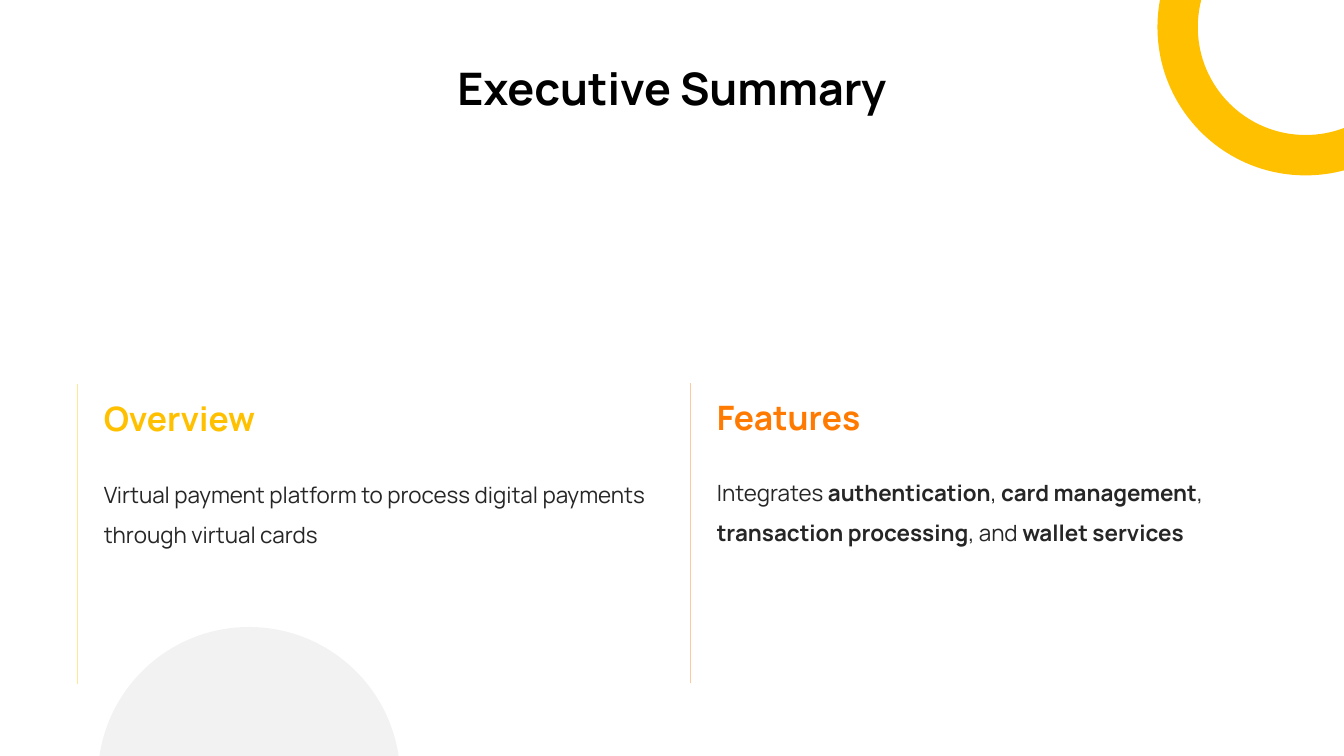
from itertools import pairwise
from math import acos, asin, cos, degrees, radians, sin, tan

from lxml.etree import Element, SubElement
from pptx import Presentation
from pptx.dml.color import RGBColor
from pptx.enum.shapes import MSO_CONNECTOR
from pptx.enum.text import MSO_ANCHOR, PP_ALIGN
from pptx.oxml.ns import qn
from pptx.util import Inches, Pt

FONT = "Manrope"
WIDTH, HEIGHT = 13.33, 7.5


def color(value):
    return RGBColor.from_string(value)


def arc(center, radius, angles):
    def point(angle, pull=0):
        turn = radians(angle)
        return (
            Inches(center[0] + radius * (cos(turn) - pull * sin(turn))),
            Inches(center[1] + radius * (sin(turn) + pull * cos(turn))),
        )

    points = [point(angles[0])]
    for start, end in pairwise(angles):
        pull = 4 / 3 * tan(radians(end - start) / 4)
        points += [point(start, pull), point(end, -pull), point(end)]
    return points


def bend(nodes):
    for first in range(1, len(nodes), 3):
        curve = Element(qn("a:cubicBezTo"))
        nodes[first].addprevious(curve)
        for node in nodes[first:first + 3]:
            curve.append(node[0])
            node.getparent().remove(node)


def add_outline(page, arcs, fill, opacity=100):
    points = sum(arcs, [])
    builder = page.shapes.build_freeform(*points[0])
    builder.add_line_segments(points[1:], close=True)
    shape = builder.convert_to_shape()
    nodes = list(shape._element.find(".//" + qn("a:path")))
    first = 0
    for curve in arcs:
        bend(nodes[first:first + len(curve)])
        first += len(curve)
    shape.shadow.inherit = False
    shape.line.fill.background()
    shape.fill.solid()
    shape.fill.fore_color.rgb = color(fill)
    if opacity < 100:
        tint = shape._element.spPr.find(qn("a:solidFill"))[0]
        SubElement(tint, qn("a:alpha")).set("val", str(opacity * 1000))


def add_corner_ring(page):
    center = (12.95, 0.27)
    edges = []
    for radius in (1.07, 1.47):
        right = degrees(acos((WIDTH - center[0]) / radius))
        top = 180 + degrees(asin(center[1] / radius))
        edges.append((radius, [top, 180, 90, right]))
    (inner, inner_angles), (outer, outer_angles) = edges
    add_outline(page, [
        arc(center, inner, inner_angles),
        arc(center, outer, outer_angles[::-1]),
    ], "FFC000")


def add_bottom_disc(page):
    center, radius = (2.47, 7.72), 1.5
    cut = degrees(asin((center[1] - HEIGHT) / radius))
    add_outline(page, [arc(center, radius, [180 + cut, 270, 360 - cut])], "000000", opacity=5)


def add_rule(page, left, top, tone):
    rule = page.shapes.add_connector(
        MSO_CONNECTOR.STRAIGHT, Inches(left), Inches(top + 2.98), Inches(left), Inches(top))
    rule.line.color.rgb = color(tone)
    rule.line.width = Pt(1)
    SubElement(rule._element.spPr, qn("a:effectLst"))


def add_text(page, place, spans, size, tone, anchor=MSO_ANCHOR.MIDDLE,
             align=PP_ALIGN.LEFT, spacing=1.0):
    box = page.shapes.add_textbox(*map(Inches, place))
    frame = box.text_frame
    frame.word_wrap = True
    frame.vertical_anchor = anchor
    frame.margin_left = frame.margin_right = frame.margin_top = frame.margin_bottom = 0
    para = frame.paragraphs[0]
    para.alignment = align
    para.line_spacing = spacing
    for text, bold in spans:
        span = para.add_run()
        span.text = text
        span.font.name = FONT
        span.font.size = Pt(size)
        span.font.bold = bold
        span.font.color.rgb = color(tone)


def add_section(page, left, top, body_top, heading, tone, rule_tone, body):
    add_rule(page, left - 0.26, top, rule_tone)
    add_text(page, (left, body_top, 5.46, 2.16), body, 16, "262626",
             anchor=MSO_ANCHOR.TOP, spacing=1.5)
    add_text(page, (left, top, 5.46, 0.68), [(heading, True)], 24, tone)


def main():
    deck = Presentation()
    deck.slide_width, deck.slide_height = Inches(WIDTH), Inches(HEIGHT)
    page = deck.slides.add_slide(deck.slide_layouts[6])

    add_corner_ring(page)
    add_bottom_disc(page)
    add_section(page, 1.03, 3.81, 4.64, "Overview", "FFC000", "FFE699", [
        ("Virtual payment platform to process digital payments through virtual cards", False),
    ])
    add_section(page, 7.11, 3.8, 4.62, "Features", "FF7A00", "FFCA99", [
        ("Integrates ", False),
        ("authentication", True),
        (", ", False),
        ("card management", True),
        (", ", False),
        ("transaction processing", True),
        (", and ", False),
        ("wallet services", True),
    ])
    add_text(page, (0.76, 0.43, 11.81, 0.87), [("Executive Summary", True)], 32, "000000",
             align=PP_ALIGN.CENTER)

    deck.save("out.pptx")


if __name__ == "__main__":
    main()
